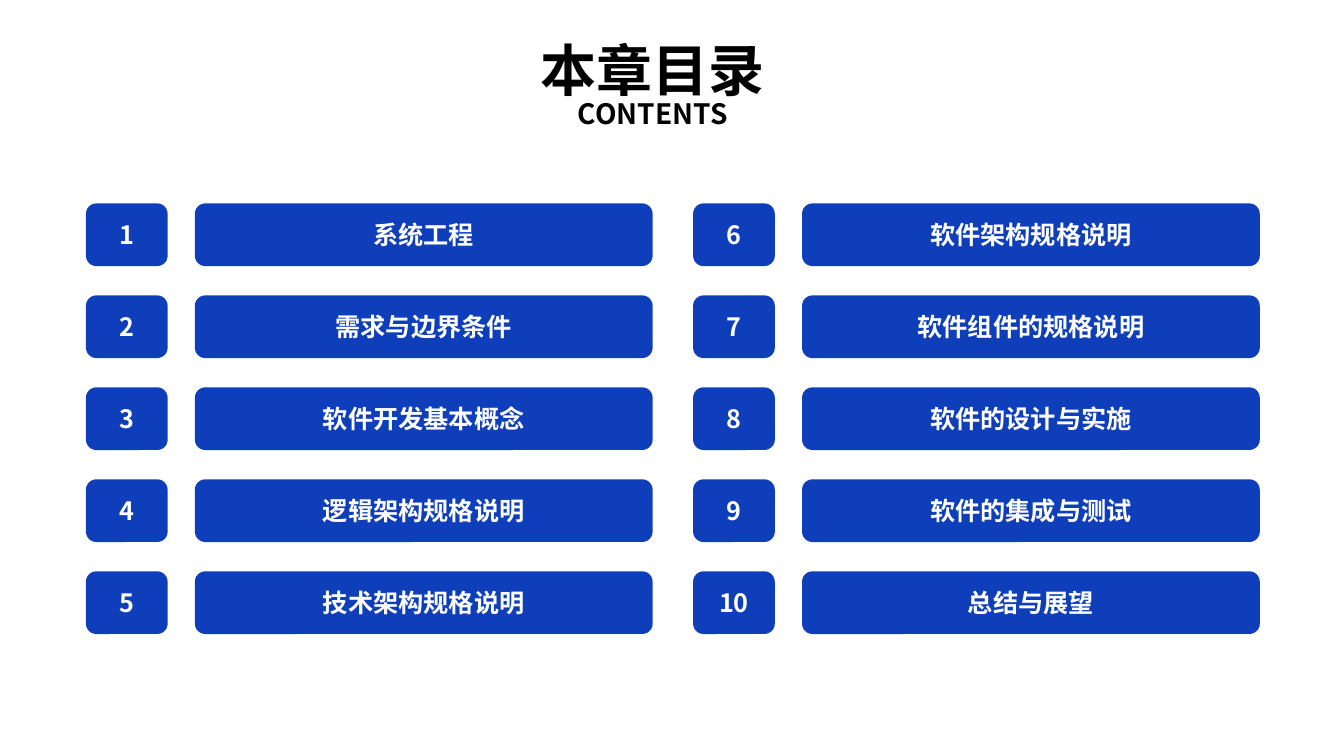
from lxml import etree
from pptx import Presentation
from pptx import util as u
from pptx.dml.color import RGBColor
from pptx.enum import shapes, text
from pptx.oxml.ns import qn

Pt = u.Pt
FONT = "Noto Sans CJK SC"
COLORS = {"bar": "0E3EBA", "label": "FFFFFF", "heading": "000000"}


def format_line(paragraph, size, color):
    paragraph.alignment = text.PP_ALIGN.CENTER
    font = paragraph.font
    font.size, font.bold, font.name = Pt(size), True, FONT
    font.color.rgb = RGBColor.from_string(COLORS[color])
    east_asian = etree.SubElement(paragraph._p.pPr.find(qn("a:defRPr")), qn("a:ea"))
    east_asian.set("typeface", FONT)


deck = Presentation()
deck.slide_width, deck.slide_height = Pt(960), Pt(540)
slide = deck.slides.add_slide(deck.slide_layouts[5])

# Heading
heading = slide.shapes.title
heading.left, heading.top, heading.width, heading.height = Pt(359.3), Pt(27.4), Pt(213.8), Pt(80)
heading.text_frame.text = "本章目录\nCONTENTS"
heading.text_frame.vertical_anchor = text.MSO_ANCHOR.TOP
heading.text_frame.auto_size = text.MSO_AUTO_SIZE.NONE
for line, size, spacing in zip(heading.text_frame.paragraphs, (40, 20), (0.9, 0.77)):
    line.line_spacing = spacing
    format_line(line, size, "heading")

# Chapters: two columns of five rows, each a number and a name
chapters = [
    "系统工程", "需求与边界条件", "软件开发基本概念", "逻辑架构规格说明", "技术架构规格说明",
    "软件架构规格说明", "软件组件的规格说明", "软件的设计与实施", "软件的集成与测试", "总结与展望",
]
ROWS = 5
for index, chapter in enumerate(chapters):
    column, row = divmod(index, ROWS)
    left = 61.4 + column * 433.7
    top = 145.3 + row * 65.7
    for label, offset, width in ((str(index + 1), 0, 58.4), (chapter, 77.8, 327)):
        bar = slide.shapes.add_shape(
            shapes.MSO_SHAPE.ROUNDED_RECTANGLE, Pt(left + offset), Pt(top), Pt(width), Pt(44.8))
        bar.shadow.inherit = False
        bar.fill.solid()
        bar.fill.fore_color.rgb = RGBColor.from_string(COLORS["bar"])
        bar.line.fill.background()
        bar.text_frame.text = label
        bar.text_frame.vertical_anchor = text.MSO_ANCHOR.MIDDLE
        format_line(bar.text_frame.paragraphs[0], 18, "label")

deck.save("out.pptx")
